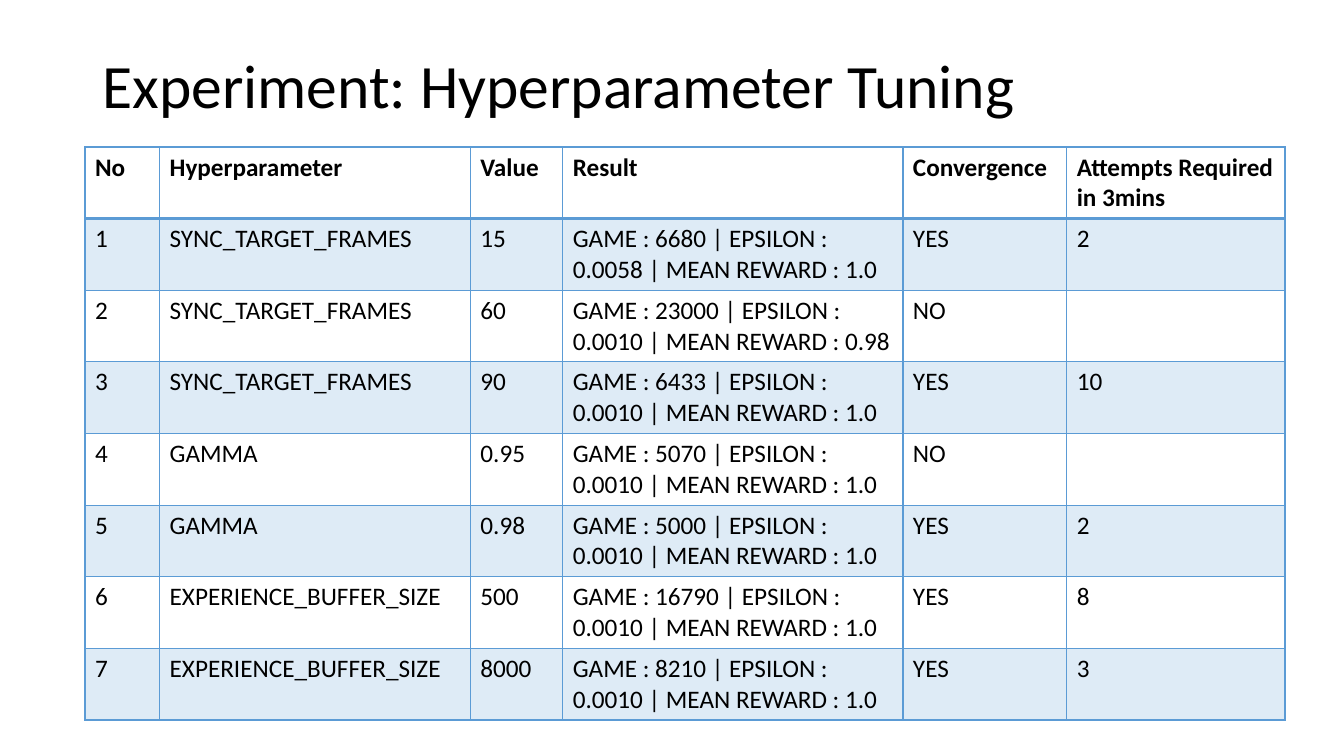
from lxml import etree
from pptx import Presentation
from pptx.dml.color import RGBColor
from pptx.enum.text import MSO_ANCHOR, PP_ALIGN
from pptx.oxml.ns import qn
from pptx.util import Pt

MIDDLE = MSO_ANCHOR.MIDDLE
LEFT = PP_ALIGN.LEFT
PX = 9525  # EMU per px, 96 px to the inch
FONT = "Calibri"
BLACK, BLUE = "000000", "5B9BD5"

COLUMN_WIDTHS = [71, 296, 88, 324, 156, 208]
ROW_HEIGHT = 68
HEADER = ["No", "Hyperparameter", "Value", "Result", "Convergence",
          "Attempts Required in 3mins"]
# hyperparameter, value, game, epsilon, mean reward, convergence, attempts
EXPERIMENTS = [
    ("SYNC_TARGET_FRAMES", "15", "6680", "0.0058", "1.0", "YES", "2"),
    ("SYNC_TARGET_FRAMES", "60", "23000", "0.0010", "0.98", "NO", ""),
    ("SYNC_TARGET_FRAMES", "90", "6433", "0.0010", "1.0", "YES", "10"),
    ("GAMMA", "0.95", "5070", "0.0010", "1.0", "NO", ""),
    ("GAMMA", "0.98", "5000", "0.0010", "1.0", "YES", "2"),
    ("EXPERIENCE_BUFFER_SIZE", "500", "16790", "0.0010", "1.0", "YES", "8"),
    ("EXPERIENCE_BUFFER_SIZE", "8000", "8210", "0.0010", "1.0", "YES", "3"),
]


def px(n):
    return n * PX


def rgb(color):
    return RGBColor.from_string(color)


def add_text(p, text, size, bold=False):
    p.font.size = Pt(size)
    if not text:
        return
    r = p.add_run()
    r.text = text
    r.font.name = FONT
    r.font.size = Pt(size)
    r.font.bold = bold
    r.font.color.rgb = rgb(BLACK)


def set_borders(cell, color, bottom):
    tcPr = cell._tc.get_or_add_tcPr()
    for side, width in (("L", 1), ("R", 1), ("T", 1), ("B", bottom)):
        ln = etree.SubElement(tcPr, qn("a:ln" + side), w=str(Pt(width)))
        fill = etree.SubElement(ln, qn("a:solidFill"))
        etree.SubElement(fill, qn("a:srgbClr"), val=color)


def set_fill(cell, color, alpha):
    cell.fill.solid()
    cell.fill.fore_color.rgb = rgb(color)
    clr = cell._tc.tcPr.find(qn("a:solidFill")).find(qn("a:srgbClr"))
    etree.SubElement(clr, qn("a:alpha"), val=str(alpha * 1000))


def build_title(slide, x, y, w, h):
    sp = slide.shapes.title
    sp.left, sp.top, sp.width, sp.height = px(x), px(y), px(w), px(h)
    tf = sp.text_frame
    tf.word_wrap = True
    tf.vertical_anchor = MIDDLE
    p = tf.paragraphs[0]
    p.alignment = LEFT
    p.line_spacing = 0.9
    add_text(p, "Experiment: Hyperparameter Tuning", 44)


def build_table(slide, x, y):
    rows = [HEADER]
    for no, (name, value, game, epsilon, reward, converged, attempts) in enumerate(EXPERIMENTS, 1):
        result = f"GAME : {game} | EPSILON : {epsilon} | MEAN REWARD : {reward}"
        rows.append([str(no), name, value, result, converged, attempts])

    table = slide.shapes.add_table(
        len(rows), len(HEADER), px(x), px(y),
        px(sum(COLUMN_WIDTHS)), px(ROW_HEIGHT * len(rows))).table
    table.first_row = table.horz_banding = False
    for column, width in zip(table.columns, COLUMN_WIDTHS):
        column.width = px(width)

    for i, row in enumerate(rows):
        table.rows[i].height = px(ROW_HEIGHT)
        for j, text in enumerate(row):
            cell = table.cell(i, j)
            set_borders(cell, BLUE, bottom=2 if i == 0 else 1)
            # Odd rows are tinted
            if i % 2:
                set_fill(cell, BLUE, 20)
            else:
                cell.fill.background()
            add_text(cell.text_frame.paragraphs[0], text, 18, bold=i == 0)


def main():
    prs = Presentation()
    prs.slide_width, prs.slide_height = px(1280), px(720)
    slide = prs.slides.add_slide(prs.slide_layouts[5])
    build_title(slide, 88, 15, 1104, 139)
    build_table(slide, 81, 140)
    prs.save("out.pptx")


if __name__ == "__main__":
    main()
